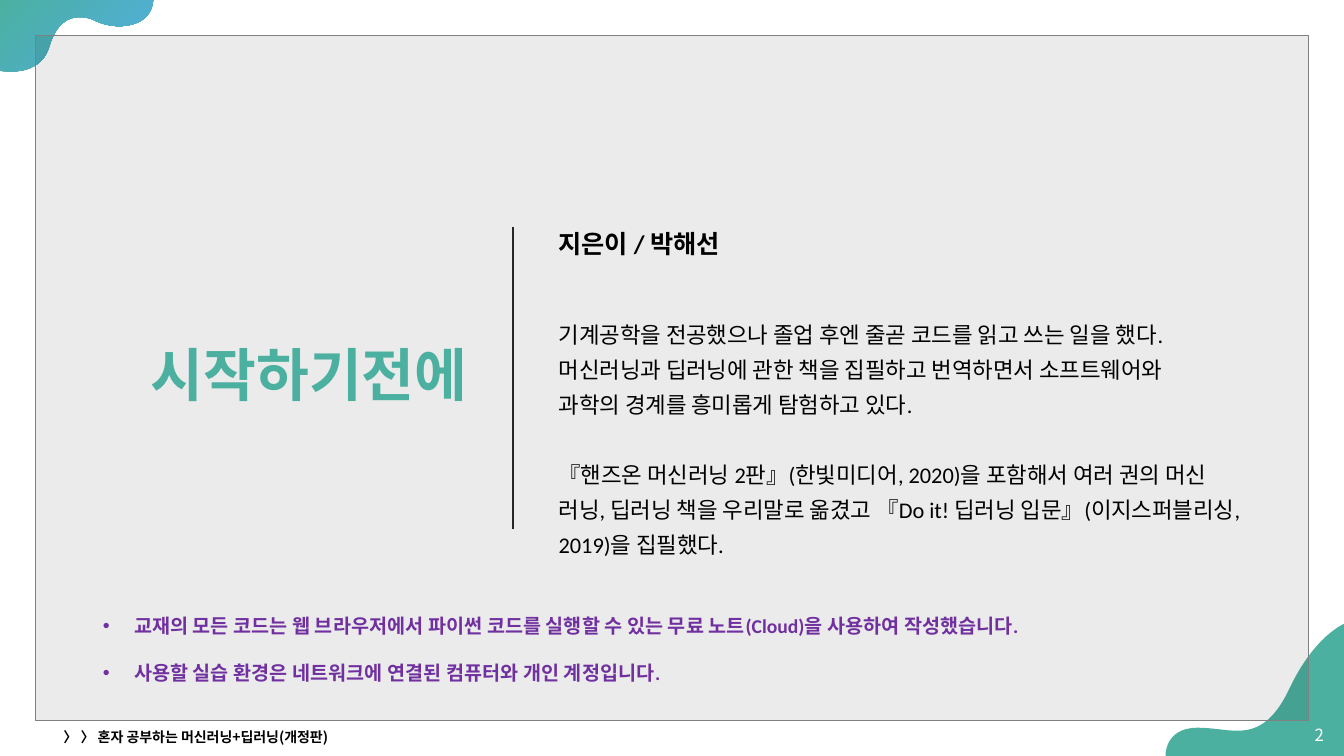
from lxml import etree
from pptx import Presentation
from pptx import util as u
from pptx.dml.color import RGBColor
from pptx.enum import shapes, text
from pptx.oxml.ns import qn

TEAL = RGBColor(0x4B, 0xB0, 0xA0)
BLUE = RGBColor(0x52, 0xAE, 0xE1)
PURPLE = RGBColor(0x70, 0x30, 0xA0)
BLACK = RGBColor(0, 0, 0)
WHITE = RGBColor(255, 255, 255)
DARK = RGBColor(0x26, 0x26, 0x26)
GRAY = RGBColor(0x80, 0x80, 0x80)
KOREAN, LATIN = "Noto Sans CJK KR", "Calibri"

presentation = Presentation()
presentation.slide_width = u.Inches(13.33)
presentation.slide_height = u.Inches(7.5)
column = presentation.slide_width / 100
row = presentation.slide_height / 100
slide = presentation.slides.add_slide(presentation.slide_layouts[3])
title, biography, notices = slide.placeholders


def area(left, top, width, height):
    """Turn percentages of the slide into lengths."""
    return [u.Emu(round(share * unit)) for share, unit in
            zip((left, top, width, height), (column, row, column, row))]


def fill_text(shape, box, lines, font, size, color, bold=False,
              align=text.PP_ALIGN.LEFT, anchor=text.MSO_ANCHOR.MIDDLE):
    """Place a text shape and give all its paragraphs one look."""
    shape.left, shape.top, shape.width, shape.height = area(*box)
    frame = shape.text_frame
    frame.text = "\n".join(lines)
    frame.word_wrap = True
    frame.auto_size = text.MSO_AUTO_SIZE.NONE
    frame.vertical_anchor = anchor
    for paragraph in frame.paragraphs:
        paragraph.alignment = align
        paragraph.space_before = u.Pt(0)
        for run in paragraph.runs:
            run.font.name, run.font.size, run.font.bold = font, u.Pt(size), bold
            run.font.color.rgb = color
            # Hangul and the spaces between words follow the East Asian font
            etree.SubElement(run.font._element, qn("a:ea"), typeface=font)
    return frame


# Corner waves: straight steps are points, curves are triples of points
top_wave = [(1.52, -0.02), (-0.01, -0.02), (-0.01, 0.7),
            ((-0.01, 0.7), (0.04, 0.71), (0.11, 0.71)),
            ((0.24, 0.71), (0.43, 0.67), (0.49, 0.46)),
            ((0.56, 0.23), (0.68, 0.17), (0.79, 0.17)),
            ((0.84, 0.17), (0.89, 0.18), (0.93, 0.2)),
            ((1.01, 0.24), (1.1, 0.26), (1.18, 0.26)),
            ((1.37, 0.26), (1.52, 0.17), (1.52, -0.02))]
bottom_wave = [(13.35, 6.18),
               ((13.35, 6.18), (13.04, 6.29), (12.78, 6.85)),
               ((12.62, 7.18), (12.45, 7.25), (12.27, 7.25)),
               ((12.15, 7.25), (12.02, 7.22), (11.88, 7.22)),
               ((11.54, 7.22), (11.56, 7.51), (11.56, 7.51)),
               (13.35, 7.51), (13.35, 6.18)]
waves = []
for start, *steps in (top_wave, bottom_wave):
    groups = [step if isinstance(step[0], tuple) else (step,) for step in steps]
    builder = slide.shapes.build_freeform(u.Inches(start[0]), u.Inches(start[1]))
    builder.add_line_segments([(u.Inches(x), u.Inches(y))
                               for group in groups for x, y in group], close=True)
    wave = builder.convert_to_shape()
    segments = iter(list(wave.element.iter(qn("a:lnTo"))))
    for group in groups:
        members = [next(segments) for _ in group]
        if len(members) == 3:
            curve = etree.Element(qn("a:cubicBezTo"))
            members[0].addprevious(curve)
            for member in members:
                curve.append(member[0])
                member.getparent().remove(member)
    wave.shadow.inherit = False
    wave.line.fill.background()
    waves.append(wave)

waves[0].fill.gradient()
waves[0].fill.gradient_angle = 315
for stop, color in zip(waves[0].fill.gradient_stops, (TEAL, BLUE)):
    stop.color.rgb = color
waves[1].fill.solid()
waves[1].fill.fore_color.rgb = TEAL

# Translucent panel
panel_area = area(2.63, 4.67, 94.75, 90.67)
panel = slide.shapes.add_shape(shapes.MSO_SHAPE.RECTANGLE, *panel_area)
panel.shadow.inherit = False
panel.line.fill.background()
panel.fill.solid()
panel.fill.fore_color.rgb = BLACK
panel_color = panel.fill._xPr.find(qn("a:solidFill"))[0]
etree.SubElement(panel_color, qn("a:alpha"), val="8000")

# Title, in front of the panel
slide.shapes.element.append(title.element)
frame = fill_text(title, (6.9, 14, 28.66, 71.87), ["시작하기전에"], KOREAN, 41, TEAL,
                  bold=True, align=text.PP_ALIGN.RIGHT)
frame.paragraphs[0].line_spacing = 0.9

# Divider
divider_x = round(38.18 * column)
divider = slide.shapes.add_connector(shapes.MSO_CONNECTOR.STRAIGHT, divider_x,
                                     round(30 * row), divider_x, round(70 * row))
divider.line.color.rgb = DARK
divider.line.width = u.Pt(1.5)
etree.SubElement(divider.element.spPr, qn("a:effectLst"))

# Page number and footer
fill_text(slide.shapes.add_textbox(0, 0, 0, 0), (95.95, 94.53, 3.3, 5.33), ["2"],
          KOREAN, 12, WHITE, align=text.PP_ALIGN.RIGHT)
fill_text(slide.shapes.add_textbox(0, 0, 0, 0), (3.98, 95.87, 33.76, 3.2),
          ["〉 〉 혼자 공부하는 머신러닝+딥러닝(개정판)"], KOREAN, 10, BLACK, bold=True)

# Author's biography
slide.shapes.element.append(biography.element)
frame = fill_text(biography, (40.81, 14, 55.06, 71.87), [
    "지은이 / 박해선",
    "기계공학을 전공했으나 졸업 후엔 줄곧 코드를 읽고 쓰는 일을 했다.",
    "머신러닝과 딥러닝에 관한 책을 집필하고 번역하면서 소프트웨어와",
    "과학의 경계를 흥미롭게 탐험하고 있다.",
    "『핸즈온 머신러닝 2판』(한빛미디어, 2020)을 포함해서 여러 권의 머신",
    "러닝, 딥러닝 책을 우리말로 옮겼고 『Do it! 딥러닝 입문』(이지스퍼블리싱, 2019)을 집필했다.",
], LATIN, 16, BLACK)
frame.margin_top = u.Inches(0.36)
for paragraph in frame.paragraphs:
    properties = paragraph._p.get_or_add_pPr()
    properties.set("marL", "0")
    properties.set("indent", "0")
    etree.SubElement(properties, qn("a:buNone"))
    paragraph.line_spacing = 1.3
author, career, _, _, books, _ = frame.paragraphs
author.line_spacing = 1.0
author.runs[0].font.size = u.Pt(18)
author.runs[0].font.bold = True
career.space_before = u.Pt(39)
books.space_before = u.Pt(25)

# Notices about the practice environment
slide.shapes.element.append(notices.element)
frame = fill_text(notices, (6.9, 77.47, 75.92, 13.07), [
    "교재의 모든 코드는 웹 브라우저에서 파이썬 코드를 실행할 수 있는 무료 노트(Cloud)을 사용하여 작성했습니다.",
    "사용할 실습 환경은 네트워크에 연결된 컴퓨터와 개인 계정입니다.",
], LATIN, 14, PURPLE, bold=True, anchor=text.MSO_ANCHOR.TOP)
for paragraph in frame.paragraphs:
    properties = paragraph._p.get_or_add_pPr()
    properties.set("marL", str(u.Inches(0.31)))
    properties.set("indent", str(-u.Inches(0.31)))
    bullet_color = etree.SubElement(properties, qn("a:buClr"))
    etree.SubElement(bullet_color, qn("a:srgbClr"), val=str(PURPLE))
    etree.SubElement(properties, qn("a:buFont"), typeface="Arial")
    etree.SubElement(properties, qn("a:buChar"), char="•")
    paragraph.line_spacing = 2.0

# Thin frame around the panel
border = slide.shapes.add_shape(shapes.MSO_SHAPE.RECTANGLE, *panel_area)
border.shadow.inherit = False
border.fill.background()
border.line.color.rgb = GRAY
border.line.width = u.Pt(1)

presentation.save("out.pptx")
